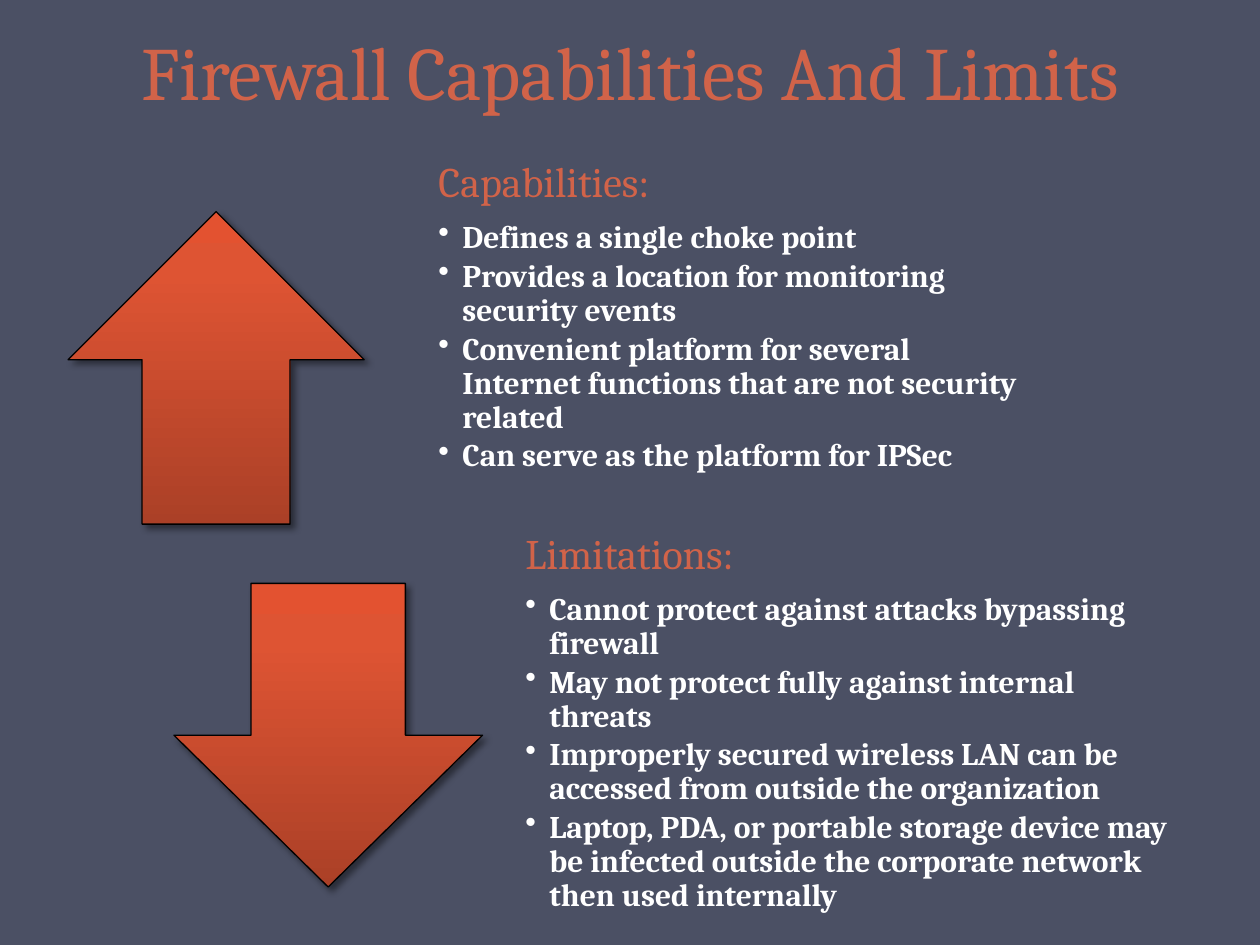
import dataclasses

import lxml.etree
import pptx
import pptx.dml.color
import pptx.enum.shapes
import pptx.enum.text
import pptx.oxml.ns
import pptx.util

Inches = pptx.util.Inches
Pt = pptx.util.Pt
SHAPE = pptx.enum.shapes.MSO_SHAPE
ANCHOR = pptx.enum.text.MSO_ANCHOR
qn = pptx.oxml.ns.qn


@dataclasses.dataclass(frozen=True)
class Theme:
    font: str = "Cambria"
    background: str = "4B5064"
    accent: str = "D16349"
    body: str = "FFFFFF"
    line: str = "000000"
    gradient: tuple = ((0, "AB4027"), (80, "DE5433"), (100, "E35230"))
    title_size: int = 43
    heading_size: int = 24
    bullet_size: int = 18


def rgb(value):
    return pptx.dml.color.RGBColor.from_string(value)


def add_node(parent, tag, **attrs):
    values = {name: str(value) for name, value in attrs.items()}
    return lxml.etree.SubElement(parent, qn(tag), values)


class SlideBuilder:
    def __init__(self, slide, theme):
        self.s = slide
        self.theme = theme
        fill = slide.background.fill
        fill.solid()
        fill.fore_color.rgb = rgb(theme.background)

    def text_frame(self, box, anchor):
        sp = self.s.shapes.add_textbox(*map(Inches, box))
        tf = sp.text_frame
        tf.word_wrap = True
        tf.vertical_anchor = anchor
        return tf

    def run(self, p, text, size, color, bold=False):
        r = p.add_run()
        r.text = text
        r.font.name = self.theme.font
        r.font.size = Pt(size)
        r.font.bold = bold
        r.font.color.rgb = rgb(color)

    def title(self, text, box):
        p = self.text_frame(box, ANCHOR.BOTTOM).paragraphs[0]
        p.alignment = pptx.enum.text.PP_ALIGN.CENTER
        p.line_spacing = Pt(58)
        self.run(p, text, self.theme.title_size, self.theme.accent)

    def bullet_block(self, heading, bullets, box):
        theme = self.theme
        tf = self.text_frame(box, ANCHOR.MIDDLE)
        tf.margin_left = tf.margin_right = tf.margin_bottom = Inches(0.19)
        tf.margin_top = 0
        p = tf.paragraphs[0]
        p.line_spacing = 0.9
        p.space_after = Pt(0.35 * theme.heading_size)
        self.run(p, heading, theme.heading_size, theme.accent)
        for text in bullets:
            p = tf.add_paragraph()
            p.level = 1
            p.line_spacing = 0.9
            p.space_after = Pt(0.15 * theme.bullet_size)
            pPr = p._p.get_or_add_pPr()
            pPr.set("marL", str(Inches(0.19)))
            pPr.set("indent", str(-Inches(0.19)))
            add_node(pPr, "a:buChar", char="•")
            self.run(p, text, theme.bullet_size, theme.body, bold=True)

    def arrow(self, kind, box):
        sp = self.s.shapes.add_shape(kind, *map(Inches, box))
        sp.line.color.rgb = rgb(self.theme.line)
        sp.line.width = Pt(0.75)
        sp.fill.gradient()
        sp.fill.gradient_angle = 90
        stops = sp._element.spPr.find(".//" + qn("a:gsLst"))
        for stop in list(stops):
            stops.remove(stop)
        for position, color in self.theme.gradient:
            stop = add_node(stops, "a:gs", pos=position * 1000)
            add_node(stop, "a:srgbClr", val=color)
        sp.shadow.inherit = False
        effects = sp._element.spPr.find(qn("a:effectLst"))
        shadow = add_node(effects, "a:outerShdw", blurRad=Pt(4), dist=Pt(3),
                          dir=45 * 60000, algn="tl", rotWithShape=0)
        color = add_node(shadow, "a:srgbClr", val=self.theme.line)
        add_node(color, "a:alpha", val=43000)


def main():
    prs = pptx.Presentation()
    prs.slide_width, prs.slide_height = Inches(10), Inches(7.5)
    builder = SlideBuilder(prs.slides.add_slide(prs.slide_layouts[6]), Theme())

    builder.title("Firewall Capabilities And Limits", (0.5, -0.34, 9, 1.31))
    builder.arrow(SHAPE.UP_ARROW, (0.54, 1.68, 2.35, 2.48))
    builder.bullet_block("Capabilities:", (
        "Defines a single choke point",
        "Provides a location for monitoring security events",
        "Convenient platform for several Internet functions "
        "that are not security related",
        "Can serve as the platform for IPSec",
    ), (3.29, 1.27, 5.04, 2.69))
    builder.arrow(SHAPE.DOWN_ARROW, (1.38, 4.63, 2.45, 2.41))
    builder.bullet_block("Limitations:", (
        "Cannot protect against attacks bypassing firewall",
        "May not protect fully against internal threats",
        "Improperly secured wireless LAN can be accessed "
        "from outside the organization",
        "Laptop, PDA, or portable storage device may be infected "
        "outside the corporate network then used internally",
    ), (3.98, 4.24, 5.52, 3.19))

    prs.save("out.pptx")


if __name__ == "__main__":
    main()
